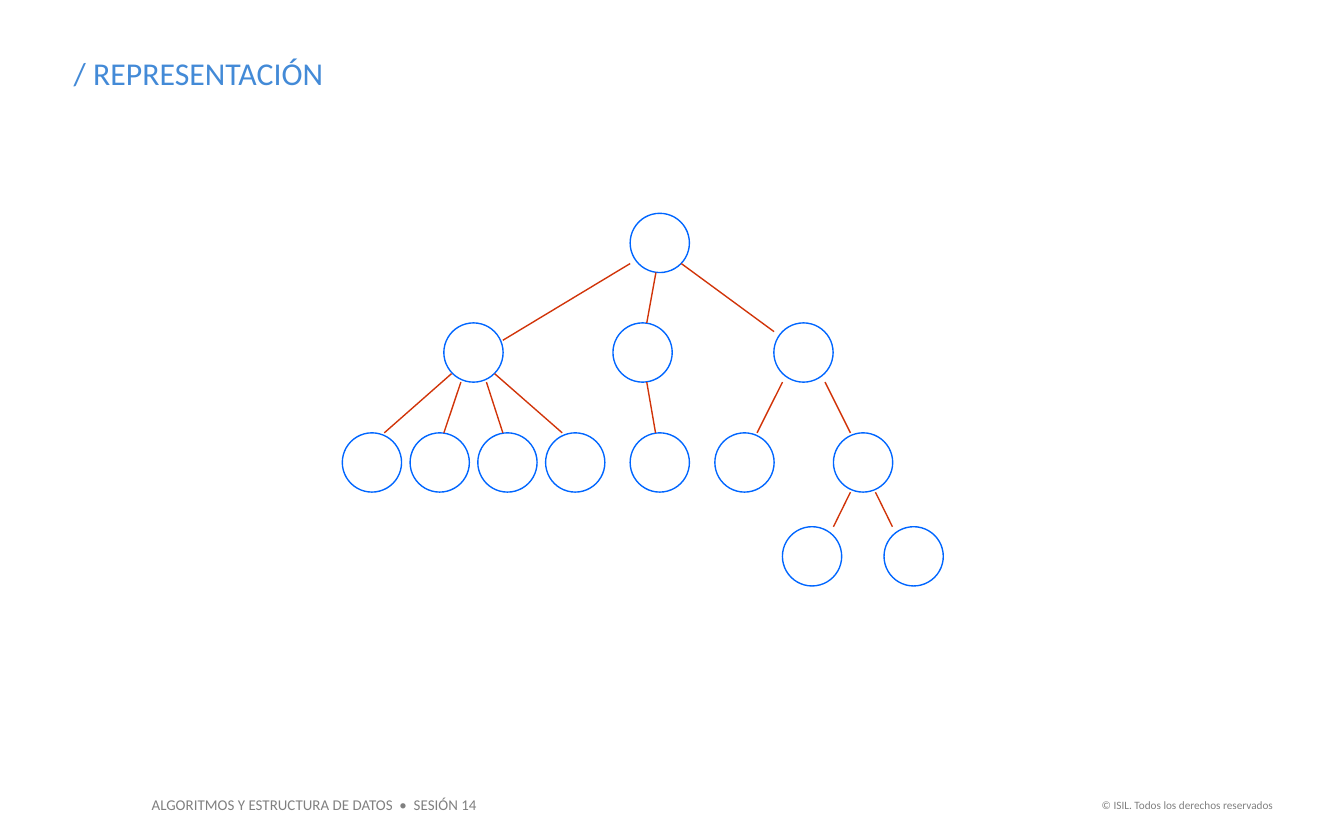
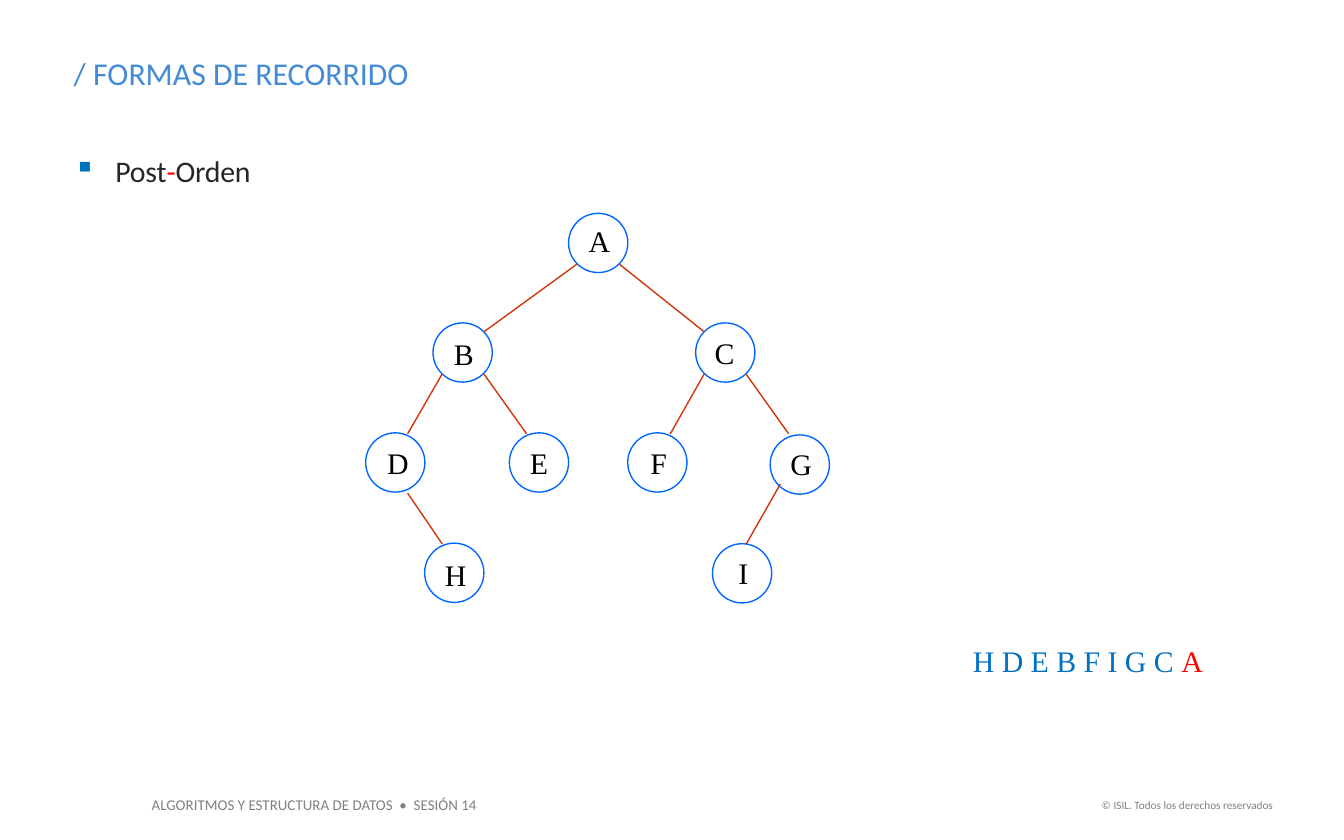
from lxml.etree import SubElement
from pptx import Presentation
from pptx.dml.color import RGBColor
from pptx.enum.shapes import MSO_CONNECTOR, MSO_SHAPE
from pptx.enum.text import MSO_AUTO_SIZE, PP_ALIGN
from pptx.oxml.ns import qn
from pptx.util import Pt

TITLE_BLUE = RGBColor(0x43, 0x8A, 0xD7)
NODE_BLUE = RGBColor(0x00, 0x66, 0xFF)
EDGE_RED = RGBColor(0xD1, 0x34, 0x09)
ACCENT_BLUE = RGBColor(0x00, 0x70, 0xC0)
HIGHLIGHT_RED = RGBColor(0xFF, 0x00, 0x00)
TEXT_DARK = RGBColor(0x26, 0x26, 0x26)
FOOTER_GRAY = RGBColor(0x80, 0x80, 0x80)
BLACK = RGBColor(0x00, 0x00, 0x00)

SANS = "Calibri"
SERIF = "Times New Roman"
NODE_SIZE = 31.75
LEVELS = (114.3, 173, 231.9)  # tops of the tree levels both slides share


class Deck:
    """Holds the style and the slide being drawn."""

    def __init__(self):
        self.presentation = Presentation()
        self.presentation.slide_width = Pt(720)
        self.presentation.slide_height = Pt(450)
        self.slide = None

    def new_slide(self, title):
        self.slide = self.presentation.slides.add_slide(self.presentation.slide_layouts[6])
        self.text((74.2, 422.6, 192.2, 17.3),
                  [("ALGORITMOS Y ESTRUCTURA DE DATOS  •  SESIÓN 14", FOOTER_GRAY)], 8, wrap=False)
        self.text((581, 424.1, 108, 14.4), [("© ISIL. Todos los derechos reservados", FOOTER_GRAY)],
                  6, align=PP_ALIGN.RIGHT, wrap=False)
        self.text((32.4, 25.2, 567.4, 28.1), [(title, TITLE_BLUE)], 17)

    def text(self, box, pieces, size, font=SANS, align=PP_ALIGN.LEFT, wrap=True, bullet=False):
        """Write one paragraph of (text, colour) pieces in a box of left, top, width, height."""
        frame = self.slide.shapes.add_textbox(*map(Pt, box)).text_frame
        frame.word_wrap = wrap
        frame.auto_size = MSO_AUTO_SIZE.SHAPE_TO_FIT_TEXT
        paragraph = frame.paragraphs[0]
        paragraph.alignment = align
        if bullet:
            frame.margin_left = frame.margin_top = frame.margin_right = frame.margin_bottom = 0
            paragraph.line_spacing = 1.5
            self.add_bullet(paragraph)
        paragraph.font.name = font
        paragraph.font.size = Pt(size)
        if len(pieces) == 1:
            paragraph.font.color.rgb = pieces[0][1]
        for words, color in pieces:
            run = paragraph.add_run()
            run.text = words
            if len(pieces) > 1:
                run.font.color.rgb = color
            if bullet:
                run._r.get_or_add_rPr().set("spc", "-10")

    @staticmethod
    def add_bullet(paragraph):
        properties = paragraph._p.get_or_add_pPr()
        properties.set("marL", str(Pt(23)))
        properties.set("indent", str(Pt(-22.3)))
        color = SubElement(properties, qn("a:buClr"))
        SubElement(color, qn("a:srgbClr"), val=str(ACCENT_BLUE))
        SubElement(properties, qn("a:buChar"), char="▪")
        tabs = SubElement(properties, qn("a:tabLst"))
        SubElement(tabs, qn("a:tab"), pos=str(Pt(20.9)), algn="l")

    def node(self, left, top):
        shape = self.slide.shapes.add_shape(
            MSO_SHAPE.FLOWCHART_CONNECTOR, Pt(left), Pt(top), Pt(NODE_SIZE), Pt(NODE_SIZE))
        shape.shadow.inherit = False
        shape.fill.background()
        shape.line.color.rgb = NODE_BLUE
        shape.line.width = Pt(0.75)

    def labelled_node(self, letter, left, top, shift_x, shift_y):
        """Draw a node with its letter, shifted from the node's corner."""
        self.node(left, top)
        self.text((left + shift_x, top + shift_y, NODE_SIZE, 21.6), [(letter, BLACK)],
                  16, SERIF, PP_ALIGN.CENTER)

    def edge(self, *ends):
        connector = self.slide.shapes.add_connector(MSO_CONNECTOR.STRAIGHT, *map(Pt, ends))
        connector.line.color.rgb = EDGE_RED
        connector.line.width = Pt(0.75)
        SubElement(connector._element.spPr, qn("a:effectLst"))


def build_representation(deck):
    deck.new_slide("/ REPRESENTACIÓN")
    root, middle, lower = LEVELS
    leaves = 282.2
    rows = {
        root: [337.6],
        middle: [237.8, 328.4, 414.6],
        lower: [183.4 + 36.3 * i for i in range(4)] + [337.6, 383, 446.5],
        leaves: [419.2, 473.6],
    }
    for top, lefts in rows.items():
        for left in lefts:
            deck.node(left, top)

    for ends in [(351.4, 146, 346.5, middle), (365, 141.2, 414.7, 177.7),
                 (337.6, 141.2, 269.4, 182.3)]:
        deck.edge(*ends)
    for x1, y1, x2 in [(241.9, 200.2, 205.9), (246.9, 204.7, 237.8), (260.6, 204.7, 269.4),
                       (265, 200.2, 301.2), (346.5, 204.7, 351.2), (419.2, 204.7, 405.6),
                       (442, 204.7, 455.6)]:
        deck.edge(x1, y1, x2, lower)
    for x1, x2 in [(455.6, 446.5), (469, 478.1)]:
        deck.edge(x1, 263.7, x2, leaves)


def build_traversal(deck):
    deck.new_slide("/ FORMAS DE RECORRIDO")
    deck.text((38.9, 72, 129.6, 28.8),
              [("Post", TEXT_DARK), ("-", HIGHLIGHT_RED), ("Orden", TEXT_DARK)], 16, bullet=True)
    root, middle, lower = LEVELS
    for node in [("A", 304.6, root, 0.7, 1.6), ("B", 232, middle, 0.7, 3.4),
                 ("C", 372.7, middle, -0.4, 2.7), ("D", 195.9, lower, 1.4, 2.8),
                 ("E", 272.9, lower, 0, 2.8), ("F", 336.3, lower, 0.7, 2.8),
                 ("G", 412.6, 233, 0.7, 2.4), ("H", 227.5, 291, 0.7, 3.5),
                 ("I", 381.7, 291.3, 0.7, 2.4)]:
        deck.labelled_node(*node)
    for ends in [(309, 141.6, 259.2, 177.8), (331.9, 141.6, 377.3, 177.8),
                 (236.9, 200.3, 218.4, 232.4), (259.2, 200.3, 282.1, 232.4),
                 (377.3, 200.3, 359.1, 232.4), (399.8, 200.6, 422.5, 232.4),
                 (218.4, 264.2, 236.9, 291.4), (418, 259.4, 399.8, 291.4)]:
        deck.edge(*ends)
    deck.text((514.1, 340.6, 150.5, 26.6),
              [("H D E B F I G C ", ACCENT_BLUE), ("A", HIGHLIGHT_RED)], 16, SERIF)


def main():
    deck = Deck()
    build_representation(deck)
    build_traversal(deck)
    deck.presentation.save("out.pptx")


if __name__ == "__main__":
    main()
